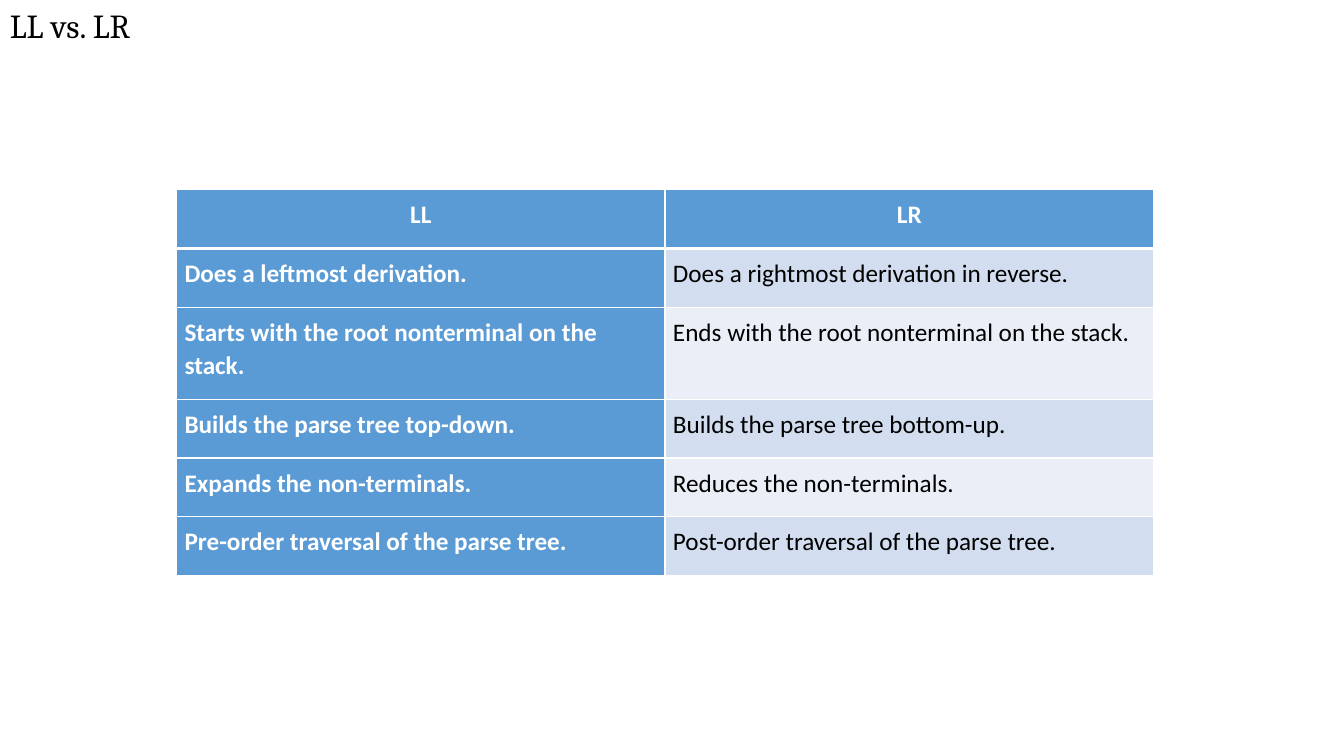
import pptx
import pptx.util
import pptx.dml.color
import pptx.enum.text
import pptx.oxml.ns
import lxml.etree

Cm = pptx.util.Cm
Pt = pptx.util.Pt
RGB = pptx.dml.color.RGBColor.from_string
ALIGN = pptx.enum.text.PP_ALIGN
ANCHOR = pptx.enum.text.MSO_ANCHOR

TITLE = "LL vs. LR"
ROWS = [
    ("LL", "LR"),
    ("Does a leftmost derivation.", "Does a rightmost derivation in reverse."),
    ("Starts with the root nonterminal on the stack.",
     "Ends with the root nonterminal on the stack."),
    ("Builds the parse tree top-down.", "Builds the parse tree bottom-up."),
    ("Expands the non-terminals.", "Reduces the non-terminals."),
    ("Pre-order traversal of the parse tree.", "Post-order traversal of the parse tree."),
]
COLORS = {
    "accent": "5B9BD5",
    "band_dark": "D2DEEF",
    "band_light": "EAEFF7",
    "white": "FFFFFF",
    "black": "000000",
}
LEFT, TOP, COL_WIDTH = 4.45, 4.78, 12.31
ROW_HEIGHTS = [1.48, 1.48, 2.32, 1.48, 1.48, 1.48]
CELL_MARGIN = 0.2


def add_run(p, text, font, size, color, bold=False):
    r = p.add_run()
    r.text = text
    r.font.name = font
    r.font.size = Pt(size)
    r.font.bold = bold
    r.font.color.rgb = RGB(COLORS[color])


def set_borders(cell, widths):
    qn = pptx.oxml.ns.qn
    tc_pr = cell._tc.get_or_add_tcPr()
    for i, (side, width) in enumerate(widths.items()):
        ln = lxml.etree.Element(qn(f"a:{side}"), w=str(Pt(width)))
        fill = lxml.etree.SubElement(ln, qn("a:solidFill"))
        lxml.etree.SubElement(fill, qn("a:srgbClr"), val=COLORS["white"])
        tc_pr.insert(i, ln)


def fill_cell(cell, text, row, col):
    heading = row == 0 or col == 0
    band = "band_dark" if row % 2 else "band_light"
    cell.fill.solid()
    cell.fill.fore_color.rgb = RGB(COLORS["accent" if heading else band])
    cell.margin_left = cell.margin_right = Cm(CELL_MARGIN)
    cell.margin_top = cell.margin_bottom = Cm(CELL_MARGIN)
    set_borders(cell, {"lnL": 1, "lnR": 1,
                       "lnT": 3 if row == 1 else 1,
                       "lnB": 3 if row == 0 else 1})
    p = cell.text_frame.paragraphs[0]
    p.alignment = ALIGN.CENTER if row == 0 else ALIGN.LEFT
    p.line_spacing = 1.07
    p.space_after = Pt(15)
    add_run(p, text, "Calibri", 18, "white" if heading else "black", heading)


def add_comparison(s):
    n_cols = len(ROWS[0])
    table = s.shapes.add_table(len(ROWS), n_cols, Cm(LEFT), Cm(TOP),
                               Cm(COL_WIDTH * n_cols), Cm(sum(ROW_HEIGHTS))).table
    for column in table.columns:
        column.width = Cm(COL_WIDTH)
    for i, (height, texts) in enumerate(zip(ROW_HEIGHTS, ROWS)):
        table.rows[i].height = Cm(height)
        for j, text in enumerate(texts):
            fill_cell(table.cell(i, j), text, i, j)


def add_title(s):
    tf = s.shapes.add_textbox(Cm(0), Cm(0), Cm(7.54), Cm(1.28)).text_frame
    tf.word_wrap = True
    tf.auto_size = pptx.enum.text.MSO_AUTO_SIZE.SHAPE_TO_FIT_TEXT
    tf.vertical_anchor = ANCHOR.MIDDLE
    add_run(tf.paragraphs[0], TITLE, "Cambria", 24, "black")


def main():
    prs = pptx.Presentation()
    prs.slide_width, prs.slide_height = Cm(33.87), Cm(19.05)
    s = prs.slides.add_slide(prs.slide_layouts[6])
    add_comparison(s)
    add_title(s)
    prs.save("out.pptx")


if __name__ == "__main__":
    main()
